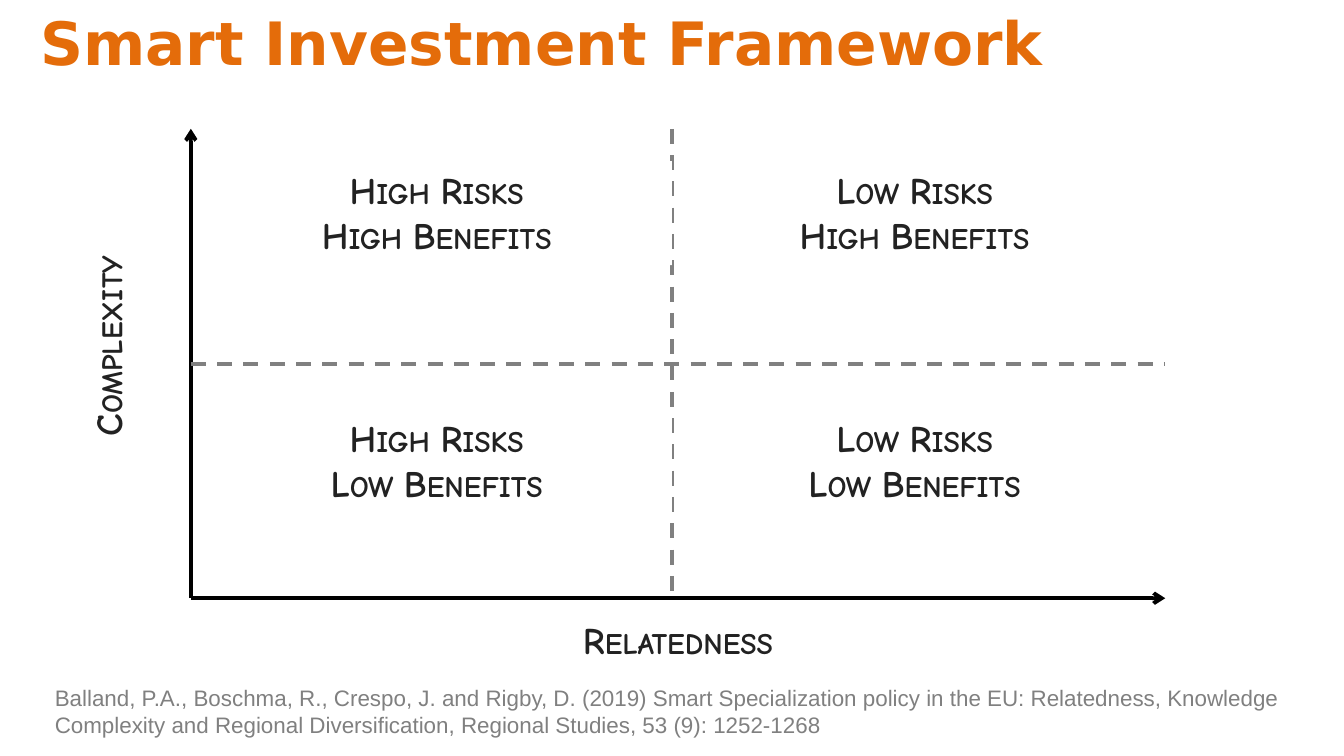
from pptx import Presentation
from pptx.dml.color import RGBColor
from pptx.enum import dml, shapes, text
from pptx.oxml import ns, xmlchemy
from pptx.util import Pt

ORANGE = RGBColor(0xE4, 0x6C, 0x0A)
BLACK = RGBColor(0, 0, 0)
INK = RGBColor(0x22, 0x22, 0x22)
GRAY = RGBColor(0x80, 0x80, 0x80)
WHITE = RGBColor(0xFF, 0xFF, 0xFF)

# Chart frame, in points
LEFT, RIGHT, TOP, BOTTOM = 102.25, 624.25, 69, 320.5
MIDDLE_X, MIDDLE_Y = 360, 195

prs = Presentation()
prs.slide_width, prs.slide_height = Pt(720), Pt(405)
slide = prs.slides.add_slide(prs.slide_layouts[5])


def add_line(x1, y1, x2, y2, color):
    line = slide.shapes.add_connector(
        shapes.MSO_CONNECTOR.STRAIGHT, Pt(x1), Pt(y1), Pt(x2), Pt(y2))
    line.line.color.rgb = color
    line.line.width = Pt(2)
    line._element.spPr.append(xmlchemy.OxmlElement("a:effectLst"))
    return line


def add_label(left, top, width, height, lines):
    """Add a white box with centred small-caps lines."""
    box = slide.shapes.add_shape(
        shapes.MSO_SHAPE.RECTANGLE, Pt(left), Pt(top), Pt(width), Pt(height))
    box.shadow.inherit = False
    box.fill.solid()
    box.fill.fore_color.rgb = WHITE
    box.line.fill.background()
    frame = box.text_frame
    frame.word_wrap = True
    frame.auto_size = text.MSO_AUTO_SIZE.SHAPE_TO_FIT_TEXT
    frame.vertical_anchor = text.MSO_ANCHOR.TOP
    frame.text = "\n".join(lines)
    for paragraph in frame.paragraphs:
        paragraph.alignment = text.PP_ALIGN.CENTER
        font = paragraph.font
        font.name, font.size, font.bold = "Comic Neue", Pt(20), True
        font.color.rgb = INK
        paragraph._p.pPr.find(ns.qn("a:defRPr")).set("cap", "small")
    return box


# Title
title = slide.shapes.title
title.left, title.top, title.width, title.height = Pt(0), Pt(0), Pt(702), Pt(45)
title.text_frame.text = "Smart Investment Framework"
title.text_frame.auto_size = text.MSO_AUTO_SIZE.NONE
title.text_frame.vertical_anchor = text.MSO_ANCHOR.MIDDLE
heading = title.text_frame.paragraphs[0]
heading.alignment = text.PP_ALIGN.LEFT
heading._p.get_or_add_pPr().set("marL", str(Pt(14.4)))
heading.font.name, heading.font.size, heading.font.bold = "DejaVu Sans", Pt(32), True
heading.font.color.rgb = ORANGE

# Axes
for end_x, end_y in ((LEFT, TOP), (RIGHT, BOTTOM)):
    axis = add_line(LEFT, BOTTOM, end_x, end_y, BLACK)
    arrowhead = xmlchemy.OxmlElement("a:tailEnd")
    arrowhead.set("type", "arrow")
    axis.line._get_or_add_ln().append(arrowhead)

add_label(LEFT, 327, RIGHT - LEFT, 31.5, ["Relatedness"])
complexity = add_label(42, 52.5, 38.75, 265.75, ["Complexity"])
complexity.text_frame._txBody.bodyPr.set("vert", "vert270")

# Dashed dividers
for ends in ((LEFT, MIDDLE_Y, RIGHT, MIDDLE_Y), (MIDDLE_X, TOP, MIDDLE_X, 319)):
    divider = add_line(*ends, GRAY)
    divider.line.dash_style = dml.MSO_LINE.DASH

# Quadrants
for risk, left, width in (("High", 108, 252), ("Low", 378, 224)):
    for benefit, top in (("High", 86.25), ("Low", 219)):
        add_label(left, top, width, 55.75, [f"{risk} Risks", f"{benefit} Benefits"])

# Source
citation = slide.shapes.add_textbox(Pt(22.25), Pt(363), Pt(677), Pt(36))
citation.text_frame.word_wrap = True
citation.text_frame.auto_size = text.MSO_AUTO_SIZE.SHAPE_TO_FIT_TEXT
citation.text_frame.text = (
    "Balland, P.A., Boschma, R., Crespo, J. and Rigby, D. (2019) Smart Specialization "
    "policy in the EU: Relatedness, Knowledge Complexity and Regional Diversification, "
    "Regional Studies, 53 (9): 1252-1268")
reference = citation.text_frame.paragraphs[0]
reference.font.name, reference.font.size = "Arial", Pt(12)
reference.font.color.rgb = GRAY

prs.save("out.pptx")
